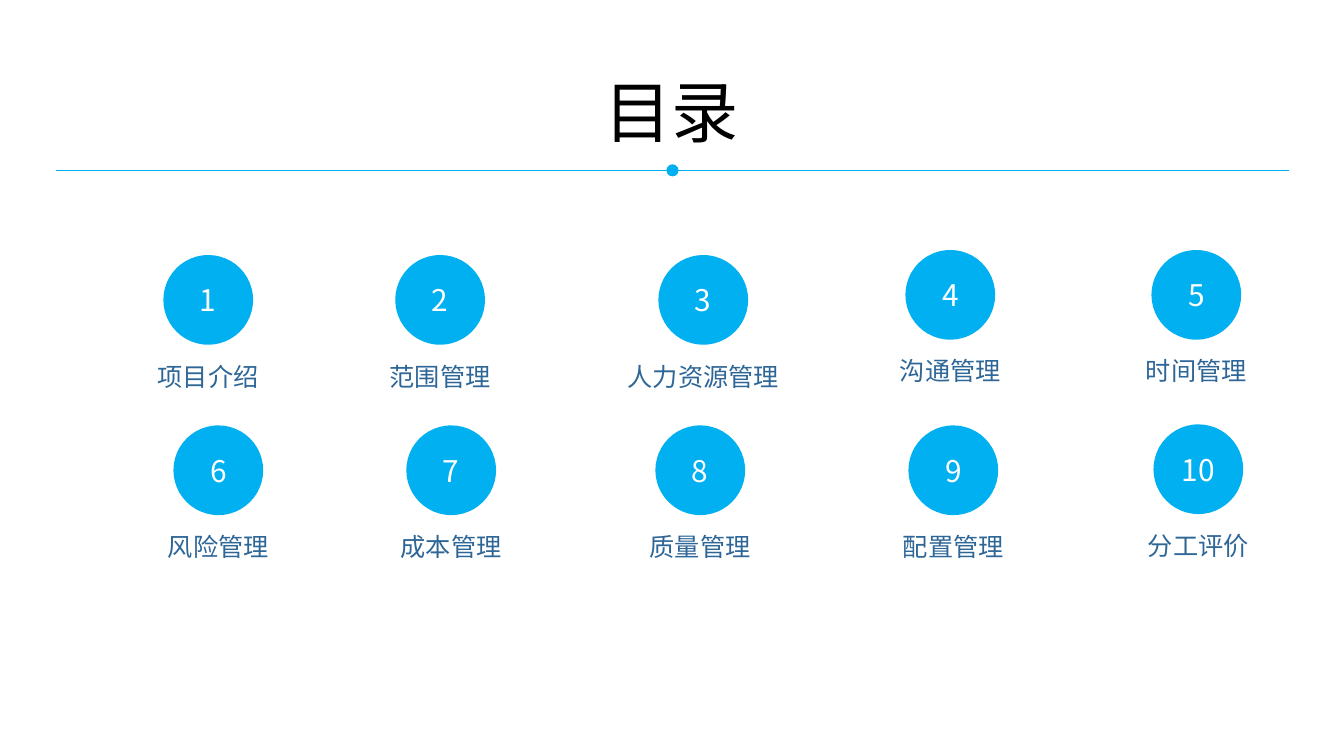
from dataclasses import dataclass

from lxml.etree import SubElement
from pptx import Presentation
from pptx.dml.color import RGBColor
from pptx.enum.shapes import MSO_CONNECTOR as Connector, MSO_SHAPE as Shape
from pptx.enum.text import MSO_ANCHOR as Anchor, PP_ALIGN as Align
from pptx.oxml.ns import qn
from pptx.util import Inches, Pt


@dataclass(frozen=True)
class Theme:
    """Colours, fonts and type sizes of the slide."""
    accent: RGBColor = RGBColor.from_string("00B0F0")
    heading: RGBColor = RGBColor.from_string("000000")
    label: RGBColor = RGBColor.from_string("2E6697")
    number: RGBColor = RGBColor.from_string("FFFFFF")
    text_font: str = "Noto Sans CJK SC"
    number_font: str = "Noto Sans CJK KR"
    heading_size: float = 48
    label_size: float = 18
    number_size: float = 21.3
    rule_width: float = 0.75


THEME = Theme()
DISC = 0.89
LABEL_WIDTH, LABEL_HEIGHT = 2.67, 0.4
LABEL_INDENT, LABEL_DROP = -0.89, 1.0
ENTRIES = [
    ("项目介绍", 1.62, 2.53),
    ("范围管理", 3.92, 2.53),
    ("人力资源管理", 6.53, 2.53),
    ("沟通管理", 8.98, 2.48),
    ("时间管理", 11.42, 2.48),
    ("风险管理", 1.72, 4.22),
    ("成本管理", 4.03, 4.22),
    ("质量管理", 6.5, 4.22),
    ("配置管理", 9.01, 4.22),
    ("分工评价", 11.44, 4.21),
]


def apply(target, formats):
    """Set each named format value on the target."""
    for name, value in formats.items():
        setattr(target, name, value)


def write(holder, text, size, font, color):
    """Write one centred line into a shape or text box."""
    frame = holder.text_frame
    apply(frame, {
        "word_wrap": True, "vertical_anchor": Anchor.MIDDLE,
        "margin_left": 0, "margin_right": 0,
        "margin_top": 0, "margin_bottom": 0,
    })
    paragraph = frame.paragraphs[0]
    paragraph.alignment = Align.CENTER
    run = paragraph.add_run()
    run.text = text
    apply(run.font, {"size": Pt(size), "name": font})
    run.font.color.rgb = color
    SubElement(run.font._element, qn("a:ea"), typeface=font)


def add_text(slide, box, *style):
    """Add a text box in the given box."""
    write(slide.shapes.add_textbox(*map(Inches, box)), *style)


def add_disc(slide, left, top, size):
    """Add a plain accent disc and return it."""
    disc = slide.shapes.add_shape(Shape.OVAL, *map(Inches, (left, top, size, size)))
    disc.shadow.inherit = False
    disc.fill.solid()
    disc.fill.fore_color.rgb = THEME.accent
    disc.line.fill.background()
    return disc


def add_heading(slide, left, top, width, height):
    """Place the heading in its box."""
    add_text(slide, (left, top, width, height), "目录",
             THEME.heading_size, THEME.text_font, THEME.heading)


def add_divider(slide, left, middle, width, dot_size):
    """Draw the rule with a dot at its centre."""
    rule = slide.shapes.add_connector(
        Connector.STRAIGHT, *map(Inches, (left, middle, left + width, middle)))
    rule.line.color.rgb = THEME.accent
    rule.line.width = Pt(THEME.rule_width)
    SubElement(rule._element.spPr, qn("a:effectLst"))
    add_disc(slide, left + (width - dot_size) / 2, middle - dot_size / 2, dot_size)


def add_entry(slide, number, title, left, top):
    """Place a numbered disc with its title below."""
    write(add_disc(slide, left, top, DISC), str(number),
          THEME.number_size, THEME.number_font, THEME.number)
    add_text(slide, (left + LABEL_INDENT, top + LABEL_DROP, LABEL_WIDTH, LABEL_HEIGHT),
             title, THEME.label_size, THEME.text_font, THEME.label)


def build_contents(slide):
    """Build the contents slide."""
    add_heading(slide, 1.33, 0.64, 10.67, 0.91)
    add_divider(slide, 0.56, 1.69, 12.22, 0.12)
    for number, (title, left, top) in enumerate(ENTRIES, start=1):
        add_entry(slide, number, title, left, top)


def main():
    """Create and save the presentation."""
    deck = Presentation()
    apply(deck, {"slide_width": Inches(13.33), "slide_height": Inches(7.5)})
    build_contents(deck.slides.add_slide(deck.slide_layouts[6]))
    deck.save("out.pptx")


if __name__ == "__main__":
    main()
